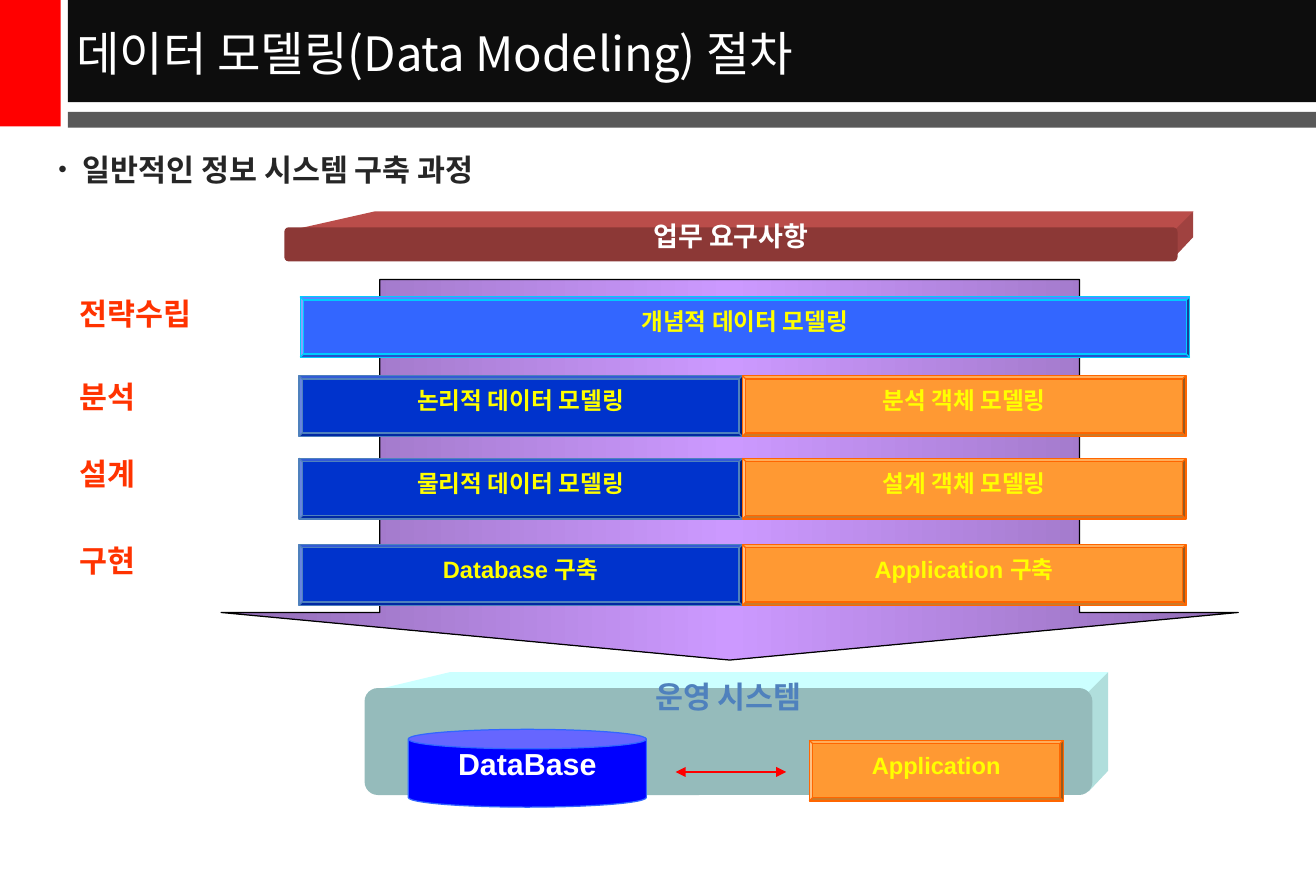
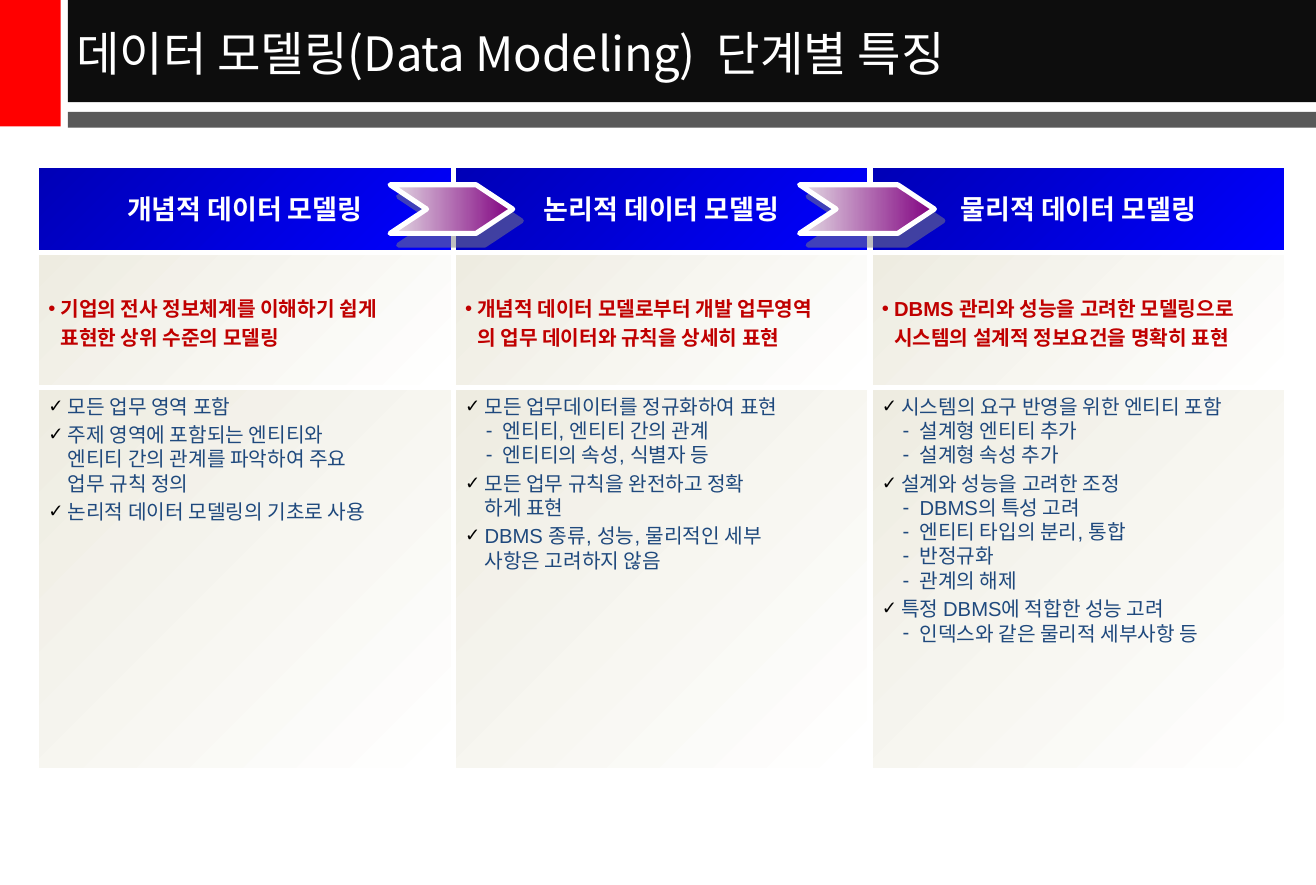
from copy import deepcopy

from lxml import etree
from pptx import Presentation
from pptx.dml.color import RGBColor
from pptx.enum.shapes import MSO_CONNECTOR, MSO_SHAPE
from pptx.enum.text import MSO_ANCHOR, MSO_AUTO_SIZE, PP_ALIGN
from pptx.oxml.ns import qn
from pptx.util import Inches, Pt

RECT, ROUNDED, BEVEL = MSO_SHAPE.RECTANGLE, MSO_SHAPE.ROUNDED_RECTANGLE, MSO_SHAPE.BEVEL
DOWN_ARROW, CAN, CHEVRON = MSO_SHAPE.DOWN_ARROW, MSO_SHAPE.CAN, MSO_SHAPE.CHEVRON
STRAIGHT = MSO_CONNECTOR.STRAIGHT
TOP, MIDDLE = MSO_ANCHOR.TOP, MSO_ANCHOR.MIDDLE
LEFT, CENTER = PP_ALIGN.LEFT, PP_ALIGN.CENTER
NO_AUTOFIT = MSO_AUTO_SIZE.NONE

LATIN, KOREAN = "Arial", "Noto Sans CJK KR"

WHITE, BLACK = RGBColor(255, 255, 255), RGBColor(0, 0, 0)
RED, BAND_BLACK, BAND_GRAY = RGBColor(255, 0, 0), RGBColor(0x0D, 0x0D, 0x0D), RGBColor(0x59, 0x59, 0x59)
INK, LABEL_RED, YELLOW = RGBColor(0x26, 0x26, 0x26), RGBColor(0xFF, 0x33, 0), RGBColor(255, 255, 0)
BRICK_FRONT, BRICK_TOP, BRICK_SIDE = (
    RGBColor(0x8C, 0x38, 0x36), RGBColor(0xBA, 0x4D, 0x4A), RGBColor(0xA0, 0x42, 0x40))
AQUA_FRONT, AQUA_TOP, AQUA_SIDE = (
    RGBColor(0x95, 0xBB, 0xBB), RGBColor(0xCC, 0xFF, 0xFF), RGBColor(0xB0, 0xDE, 0xDC))
VIOLET, LILAC = RGBColor(0x92, 0x6D, 0xB6), RGBColor(0xCC, 0x99, 0xFF)
NAVY, STEEL = RGBColor(0, 0x33, 0xCC), RGBColor(0x4F, 0x81, 0xBD)
ORANGE, DARK_ORANGE = RGBColor(0xFF, 0x99, 0x33), RGBColor(0xFF, 0x66, 0)
SKY, CYAN, BLUE = RGBColor(0x33, 0x66, 0xFF), RGBColor(0, 0xCC, 0xFF), RGBColor(0, 0, 255)
HEADER_BLUE, CREAM = RGBColor(0, 0, 0xB6), RGBColor(0xEE, 0xEC, 0xE1)
DARK_RED, TEXT_BLUE = RGBColor(0xC0, 0, 0), RGBColor(0x1F, 0x49, 0x7D)
PALE_PLUM, PLUM = RGBColor(0xE5, 0xDE, 0xE5), RGBColor(0x80, 0, 0x80)

TITLE_ONLY, TITLE_AND_BODY = 5, 1
TIGHT = Pt(10)


def inches(*values):
    return [Inches(value) for value in values]


class Deck:
    """Holds the shared style and the page being drawn."""

    def __init__(self):
        self.deck = Presentation()
        self.deck.slide_width, self.deck.slide_height = inches(10.83, 7.28)
        self.page = None

    def new_page(self, title, layout):
        self.page = self.deck.slides.add_slide(self.deck.slide_layouts[layout])
        if len(self.deck.slides) == 1:
            self.master_bands()
        box = self.page.shapes.title
        self.place(box, 0.53, 0.02, 10.3, 0.82)
        self.add_text(box, [title], 28, WHITE, bold=False, font=KOREAN, anchor=MIDDLE)

    def master_bands(self):
        """Draw the bands once and move them to the back of the slide master."""
        bands = [((0, 0, 0.5, 1.04), RED), ((0.56, 0, 10.27, 0.84), BAND_BLACK),
                 ((0.56, 0.92, 10.27, 0.13), BAND_GRAY)]
        tree = self.deck.slide_master.shapes._spTree
        for index, (at, color) in enumerate(bands):
            band = self.shape(RECT, at, [color])
            band._element.nvSpPr.cNvPr.set("id", str(101 + index))
            tree.insert(2 + index, band._element)

    def place(self, box, *at):
        box.left, box.top, box.width, box.height = inches(*at)

    def body(self, text):
        box = self.page.placeholders[1]
        self.place(box, 0.38, 1.19, 10.07, 1.11)
        para = self.add_text(box, [text], 18, INK, font=KOREAN)[0]
        self.bullet(para, "•", 0.2, size=80)

    def paint(self, shape, colors, angle=0):
        """One colour gives a solid fill, more give an even gradient."""
        if len(colors) == 1:
            shape.fill.solid()
            shape.fill.fore_color.rgb = colors[0]
            return
        shape.fill.gradient()
        shape.fill.gradient_angle = (360 - angle) % 360
        stop_list = shape._element.spPr.find(".//" + qn("a:gsLst"))
        while len(stop_list) < len(colors):
            stop_list.append(deepcopy(stop_list[0]))
        for index, stop in enumerate(shape.fill.gradient_stops):
            stop.position = index / (len(colors) - 1)
            stop.color.rgb = colors[index]

    def finish(self, shape, colors, line=None, width=0.75, angle=0):
        shape.shadow.inherit = False
        self.paint(shape, colors, angle)
        if line is None:
            shape.line.fill.background()
        else:
            shape.line.color.rgb = line
            shape.line.width = Pt(width)
        return shape

    def shape(self, kind, at, colors, line=None, width=0.75, angle=0, adjust=()):
        shape = self.page.shapes.add_shape(kind, *inches(*at))
        for index, value in enumerate(adjust):
            shape.adjustments[index] = value
        return self.finish(shape, colors, line, width, angle)

    def outline(self, points, color):
        corners = [tuple(inches(*point)) for point in points]
        builder = self.page.shapes.build_freeform(*corners[0])
        builder.add_line_segments(corners[1:], close=True)
        return self.finish(builder.convert_to_shape(), [color])

    def slab(self, at, slant, colors, text, size, color):
        """Rounded block seen from above, with a top and a right face."""
        left, top, width, height = at
        right, bottom = left + width, top + height
        front, upper, side = colors
        depth, lip, edge = 0.13, 0.1, 0.03
        self.outline([(left + edge, top + edge), (left + slant, top - depth),
                      (right + depth, top - depth), (right, top + lip),
                      (left + lip, top + lip)], upper)
        self.outline([(right - lip, top + lip), (right + depth, top - depth),
                      (right + depth, bottom - 0.2), (right - edge, bottom - edge),
                      (right - lip, bottom - lip)], side)
        box = self.shape(ROUNDED, at, [front], adjust=[0.125])
        self.add_text(box, [text], size, color, align=CENTER, spacing=TIGHT)

    def bevel(self, at, fill, line, text):
        box = self.shape(BEVEL, at, [fill], line, adjust=[0.055])
        self.add_text(box, [text], 14, YELLOW, align=CENTER, anchor=MIDDLE,
                      spacing=TIGHT, wrap=False)

    def label(self, at, text):
        box = self.page.shapes.add_textbox(*inches(*at))
        self.add_text(box, [text], 18, LABEL_RED, spacing=TIGHT)

    def line(self, start, end, color, width, arrows=False):
        line = self.page.shapes.add_connector(STRAIGHT, *inches(*start, *end))
        line.line.color.rgb = color
        line.line.width = Pt(width)
        if arrows:
            stroke = line.line._get_or_add_ln()
            for name in ("a:headEnd", "a:tailEnd"):
                etree.SubElement(stroke, qn(name), type="triangle")
        etree.SubElement(line._element.spPr, qn("a:effectLst"))

    def chevron(self, at):
        shape = self.shape(CHEVRON, at, [PALE_PLUM, PLUM], WHITE, 3, adjust=[0.753])
        effects = shape._element.spPr.find(qn("a:effectLst"))
        shadow = etree.SubElement(effects, qn("a:outerShdw"), dist=str(Pt(8.6)),
                                  dir=str(54 * 60000), algn="ctr", rotWithShape="0")
        tint = etree.SubElement(shadow, qn("a:srgbClr"), val="808080")
        etree.SubElement(tint, qn("a:alpha"), val="50000")

    def bullet(self, para, mark, hang, left=None, size=100, color=None):
        props = para._p.get_or_add_pPr()
        props.set("marL", str(Inches(hang if left is None else left)))
        props.set("indent", str(Inches(-hang)))
        if color is not None:
            tint = etree.SubElement(props, qn("a:buClr"))
            etree.SubElement(tint, qn("a:srgbClr"), val=str(color))
        etree.SubElement(props, qn("a:buSzPct"), val=str(size * 1000))
        etree.SubElement(props, qn("a:buFont"), typeface=LATIN)
        etree.SubElement(props, qn("a:buChar"), char=mark)

    def add_text(self, box, texts, size, color, bold=True, font=LATIN, align=LEFT,
                 anchor=TOP, spacing=None, wrap=True):
        """Add one paragraph per text; a newline in a text is a line break."""
        frame = box.text_frame
        frame.auto_size = NO_AUTOFIT
        frame.word_wrap = wrap
        frame.vertical_anchor = anchor
        paras = []
        for index, text in enumerate(texts):
            para = frame.add_paragraph() if index else frame.paragraphs[0]
            para.alignment = align
            para.space_before = Pt(0)
            if spacing is not None:
                para.line_spacing = spacing
            for number, part in enumerate(text.split("\n")):
                if number:
                    para.add_line_break()
                span = para.add_run()
                span.text = part
                span.font.name = font
                span.font.size = Pt(size)
                span.font.bold = bold
                span.font.color.rgb = color
                etree.SubElement(span._r.get_or_add_rPr(), qn("a:ea"), typeface=KOREAN)
            paras.append(para)
        return paras

    def checklist(self, box, items):
        """Items starting with a dash become the second level."""
        texts = [item.removeprefix("- ") for item in items]
        paras = self.add_text(box, texts, 12, TEXT_BLUE, bold=False)
        for index, (para, item) in enumerate(zip(paras, items)):
            if item.startswith("- "):
                self.bullet(para, "-", 0.14, left=0.31)
                continue
            if index:
                para.space_before = Pt(2.4)
            self.bullet(para, "✓", 0.16, size=90, color=BLACK)


def procedure_page(deck):
    deck.new_page("데이터 모델링(Data Modeling) 절차", TITLE_AND_BODY)
    deck.body("일반적인 정보 시스템 구축 과정")

    # Requirements, arrow and running system
    deck.slab((2.34, 1.87, 7.35, 0.28), 0.74, (BRICK_FRONT, BRICK_TOP, BRICK_SIDE),
              "업무 요구사항", 16, WHITE)
    deck.shape(DOWN_ARROW, (1.82, 2.3, 8.37, 3.13), [VIOLET, LILAC, VIOLET], BLACK,
               adjust=[0.688, 0.125])
    deck.slab((3, 5.66, 5.99, 0.88), 0.7, (AQUA_FRONT, AQUA_TOP, AQUA_SIDE),
              "운영 시스템", 18, STEEL)
    database = deck.shape(CAN, (3.36, 6, 1.96, 0.64), [BLUE], SKY, adjust=[0.25])
    deck.add_text(database, ["DataBase"], 18, WHITE, align=CENTER, anchor=MIDDLE,
                  spacing=TIGHT, wrap=False)
    deck.line((5.56, 6.35), (6.47, 6.35), RED, 0.75, arrows=True)
    deck.bevel((6.66, 6.09, 2.09, 0.5), ORANGE, DARK_ORANGE, "Application")

    # Stages
    deck.label((0.56, 2.54, 2.32, 0.26), "전략수립")
    deck.bevel((2.47, 2.44, 7.32, 0.5), SKY, CYAN, "개념적 데이터 모델링")
    stages = [(3.09, 3.22, "분석", "논리적 데이터 모델링", "분석 객체 모델링"),
              (3.77, 3.86, "설계", "물리적 데이터 모델링", "설계 객체 모델링"),
              (4.48, 4.57, "구현", "Database 구축", "Application 구축")]
    for top, label_top, name, data_step, object_step in stages:
        deck.label((0.56, label_top, 1.9, 0.26), name)
        deck.bevel((2.46, top, 3.65, 0.5), NAVY, STEEL, data_step)
        deck.bevel((6.11, top, 3.65, 0.5), ORANGE, DARK_ORANGE, object_step)


def features_page(deck):
    deck.new_page("데이터 모델링(Data Modeling)  단계별 특징", TITLE_ONLY)
    columns = [
        ("개념적 데이터 모델링", "기업의 전사 정보체계를 이해하기 쉽게\n표현한 상위 수준의 모델링",
         ["모든 업무 영역 포함",
          "주제 영역에 포함되는 엔티티와\n엔티티 간의 관계를 파악하여 주요\n업무 규칙 정의",
          "논리적 데이터 모델링의 기초로 사용"]),
        ("논리적 데이터 모델링", "개념적 데이터 모델로부터 개발 업무영역\n의 업무 데이터와 규칙을 상세히 표현",
         ["모든 업무데이터를 정규화하여 표현", "- 엔티티, 엔티티 간의 관계",
          "- 엔티티의 속성, 식별자 등", "모든 업무 규칙을 완전하고 정확\n하게 표현",
          "DBMS 종류, 성능, 물리적인 세부\n사항은 고려하지 않음"]),
        ("물리적 데이터 모델링", "DBMS 관리와 성능을 고려한 모델링으로\n시스템의 설계적 정보요건을 명확히 표현",
         ["시스템의 요구 반영을 위한 엔티티 포함", "- 설계형 엔티티 추가",
          "- 설계형 속성 추가", "설계와 성능을 고려한 조정", "- DBMS의 특성 고려",
          "- 엔티티 타입의 분리, 통합", "- 반정규화", "- 관계의 해제",
          "특정 DBMS에 적합한 성능 고려", "- 인덱스와 같은 물리적 세부사항 등"]),
    ]
    left, width = 0.3, 3.43
    row_edges = [1.36, 2.08, 3.19, 6.34]
    column_edges = [left + index * width for index in range(len(columns) + 1)]

    # Cells
    for x, (heading, summary, items) in zip(column_edges, columns):
        header, middle, details = [
            deck.shape(RECT, (x, top, width, bottom - top), colors, angle=45)
            for top, bottom, colors in zip(row_edges, row_edges[1:], (
                [HEADER_BLUE, BLUE], [CREAM, WHITE], [CREAM, WHITE]))]
        deck.add_text(header, [heading], 16, WHITE, align=CENTER, anchor=MIDDLE)
        para = deck.add_text(middle, [summary], 12, DARK_RED, anchor=MIDDLE, spacing=1.2)[0]
        deck.bullet(para, "•", 0.1)
        deck.checklist(details, items)

    # White grid and step arrows
    for y in row_edges:
        deck.line((left, y), (column_edges[-1], y), WHITE, 3)
    for x in column_edges:
        deck.line((x, row_edges[0]), (x, row_edges[-1]), WHITE, 3)
    deck.chevron((3.21, 1.52, 1.01, 0.4))
    deck.chevron((6.58, 1.52, 1.11, 0.4))


def main():
    deck = Deck()
    procedure_page(deck)
    features_page(deck)
    deck.deck.save("out.pptx")


if __name__ == "__main__":
    main()
